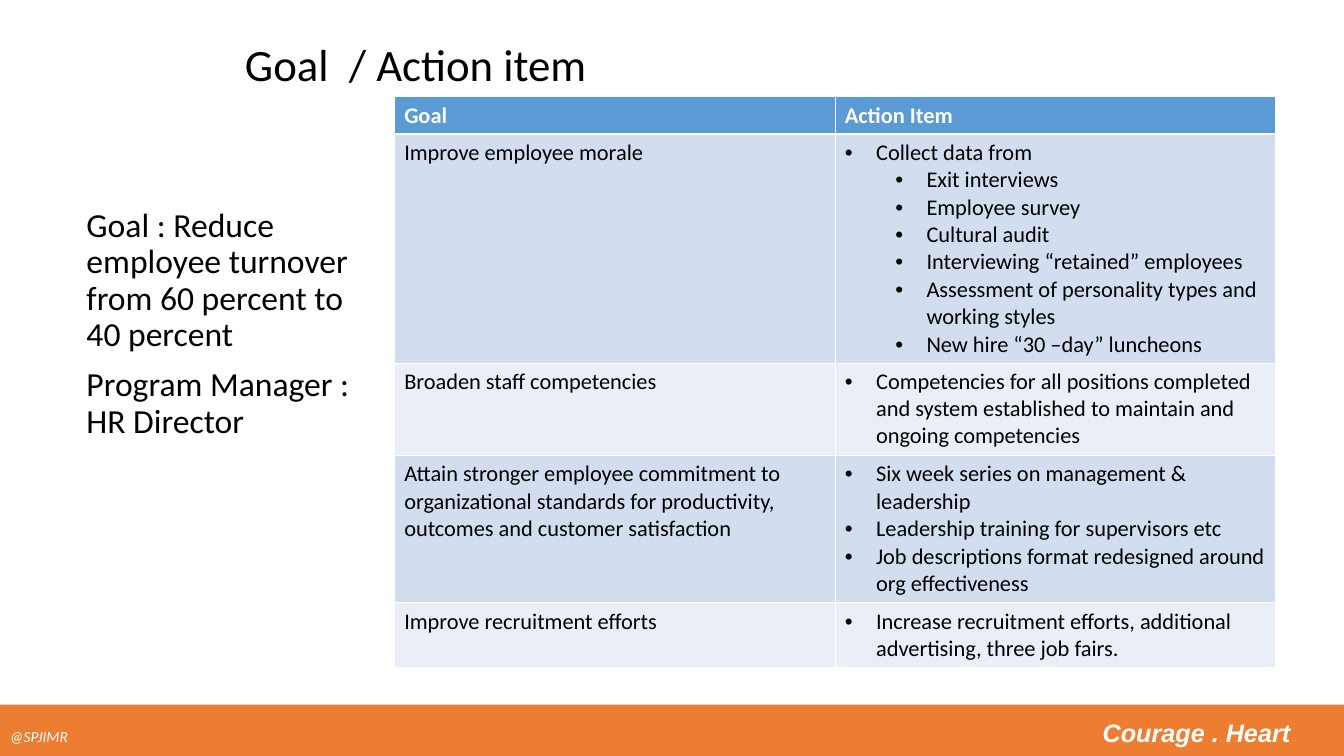
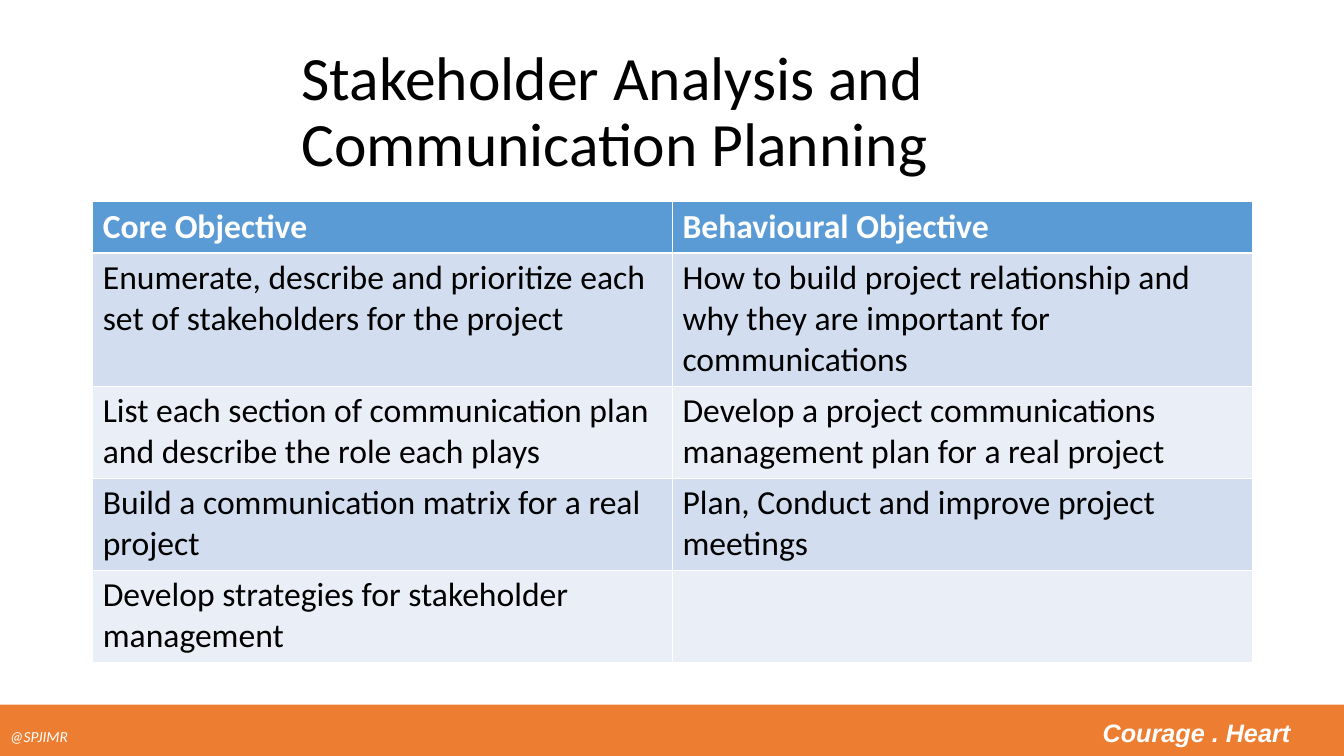
import pptx
import pptx.dml.color
import pptx.enum.shapes
import pptx.enum.text
import pptx.oxml
import pptx.oxml.ns
import pptx.util
from dataclasses import dataclass

Inches = pptx.util.Inches
Pt = pptx.util.Pt
ANCHOR = pptx.enum.text.MSO_ANCHOR


@dataclass(frozen=True)
class Theme:
    font: str = "Calibri"
    motto_font: str = "Arial"
    text: str = "000000"
    light: str = "FFFFFF"
    band: str = "ED7D31"
    header: str = "5B9BD5"
    rows: tuple = ("D2DEEF", "EAEFF7")
    handle_size: int = 11
    motto_size: int = 18
    body_size: int = 24
    thin: float = 0.45
    thick: float = 1.47


THEME = Theme()


def rgb(value):
    return pptx.dml.color.RGBColor.from_string(value)


def write(p, text, size=THEME.body_size, color=THEME.text, font=THEME.font, bold=False, italic=False):
    r = p.add_run()
    r.text = text
    r.font.size = Pt(size)
    r.font.name = font
    r.font.bold = bold
    r.font.italic = italic
    r.font.color.rgb = rgb(color)
    return r


def add_xml(parent, tag, children="", **attributes):
    attrs = "".join(f' {key}="{value}"' for key, value in attributes.items())
    ns = pptx.oxml.ns.nsdecls("a")
    parent.append(pptx.oxml.parse_xml(f"<a:{tag} {ns}{attrs}>{children}</a:{tag}>"))


def add_bullet(p, level):
    p.level = level
    pPr = p._p.get_or_add_pPr()
    pPr.set("marL", str(Inches(0.31 + 0.5 * level)))
    pPr.set("indent", str(Inches(-0.31)))
    add_xml(pPr, "buClr", f'<a:srgbClr val="{THEME.text}"/>')
    add_xml(pPr, "buFont", typeface="Arial")
    add_xml(pPr, "buChar", char="•")


class Deck:
    """Builds slides that share one theme, title style and footer band."""

    def __init__(self):
        self.prs = pptx.Presentation()
        self.prs.slide_width = Inches(13.33)
        self.prs.slide_height = Inches(7.5)
        self.s = None

    def add_slide(self, title, box, size):
        self.s = self.prs.slides.add_slide(self.prs.slide_layouts[5])
        self.band()
        self.title(title, box, size)

    def band(self):
        sp = self.s.shapes.add_shape(pptx.enum.shapes.MSO_SHAPE.RECTANGLE, 0, Inches(6.99),
                                     self.prs.slide_width, Inches(0.51))
        sp.shadow.inherit = False
        sp.fill.solid()
        sp.fill.fore_color.rgb = rgb(THEME.band)
        sp.line.fill.background()
        tf = sp.text_frame
        tf.vertical_anchor = ANCHOR.MIDDLE
        tf.margin_top = Inches(0.1)
        p = tf.paragraphs[0]
        p.alignment = pptx.enum.text.PP_ALIGN.LEFT
        add_xml(p._p.get_or_add_pPr(), "tabLst", f'<a:tab pos="{Inches(12.7)}" algn="r"/>')
        write(p, "@SPJIMR\t", size=THEME.handle_size, color=THEME.light, italic=True)
        write(p, "Courage . Heart", size=THEME.motto_size, color=THEME.light,
              font=THEME.motto_font, bold=True, italic=True)

    def title(self, text, box, size):
        sp = self.s.shapes.title
        sp.left, sp.top, sp.width, sp.height = map(Inches, box)
        tf = sp.text_frame
        tf.word_wrap = True
        tf.auto_size = pptx.enum.text.MSO_AUTO_SIZE.NONE
        tf.vertical_anchor = ANCHOR.MIDDLE
        p = tf.paragraphs[0]
        p.alignment = pptx.enum.text.PP_ALIGN.LEFT
        p.line_spacing = 0.9
        write(p, text, size=size)

    def text(self, lines, box):
        tf = self.s.shapes.add_textbox(*map(Inches, box)).text_frame
        tf.word_wrap = True
        for i, line in enumerate(lines):
            p = tf.add_paragraph() if i else tf.paragraphs[0]
            p.line_spacing = 0.9
            p.space_before = Pt(10 if i else 0)
            write(p, line)

    def table(self, rows, left, top, col_width, heights, size):
        cols = len(rows[0])
        table = self.s.shapes.add_table(len(rows), cols, Inches(left), Inches(top),
                                        Inches(col_width * cols), Inches(sum(heights))).table
        for col in table.columns:
            col.width = Inches(col_width)
        for i, (row, height) in enumerate(zip(rows, heights)):
            table.rows[i].height = Inches(height)
            for j, content in enumerate(row):
                self.cell(table.cell(i, j), content, i, size)

    def cell(self, cell, content, row, size):
        tcPr = cell._tc.get_or_add_tcPr()
        line = f'<a:solidFill><a:srgbClr val="{THEME.light}"/></a:solidFill>'
        for side in "LRTB":
            beside_header = (row, side) in ((0, "B"), (1, "T"))
            width = THEME.thick if beside_header else THEME.thin
            add_xml(tcPr, f"ln{side}", line, w=Pt(width))
        cell.fill.solid()
        cell.fill.fore_color.rgb = rgb(THEME.rows[(row - 1) % 2] if row else THEME.header)
        color = THEME.text if row else THEME.light
        tf = cell.text_frame
        if isinstance(content, str):
            if content:
                write(tf.paragraphs[0], content, size=size, color=color, bold=row == 0)
            return
        for i, (level, text) in enumerate(content):
            p = tf.add_paragraph() if i else tf.paragraphs[0]
            add_bullet(p, level)
            write(p, text, size=size, color=color)


def main():
    deck = Deck()

    deck.add_slide("Goal  / Action item", (2.33, 0.4, 10.08, 0.52), 32)
    deck.text(["Goal : Reduce employee turnover from 60 percent to 40 percent",
               "Program Manager : HR Director"], (0.76, 2.02, 2.83, 4.49))
    deck.table([
        ("Goal", "Action Item"),
        ("Improve employee morale", [
            (0, "Collect data from"),
            (1, "Exit interviews"),
            (1, "Employee survey"),
            (1, "Cultural audit"),
            (1, "Interviewing “retained” employees"),
            (1, "Assessment of personality types and working styles"),
            (1, "New hire “30 –day” luncheons")]),
        ("Broaden staff competencies", [
            (0, "Competencies for all positions completed and system established "
                "to maintain and ongoing competencies")]),
        ("Attain stronger employee commitment to organizational standards for "
         "productivity, outcomes and customer satisfaction", [
             (0, "Six week series on management & leadership"),
             (0, "Leadership training for supervisors etc"),
             (0, "Job descriptions format redesigned around org effectiveness")]),
        ("Improve recruitment efforts", [
            (0, "Increase recruitment efforts, additional advertising, three job fairs.")]),
    ], 3.91, 0.96, 4.37, (0.37, 2.27, 0.92, 1.46, 0.64), 16)

    deck.add_slide("Stakeholder Analysis and Communication Planning", (2.89, 0.4, 9.53, 1.45), 44)
    deck.table([
        ("Core Objective", "Behavioural Objective"),
        ("Enumerate, describe and prioritize each set of stakeholders for the project",
         "How to build project relationship and why they are important for communications"),
        ("List each section of communication plan and describe the role each plays",
         "Develop a project communications management plan for a real project"),
        ("Build a communication matrix for a real project",
         "Plan, Conduct and improve project meetings"),
        ("Develop strategies for stakeholder management", ""),
    ], 0.92, 2, 5.75, (0.5, 1.3, 0.9, 0.9, 0.9), 24)

    deck.prs.save("out.pptx")


if __name__ == "__main__":
    main()
